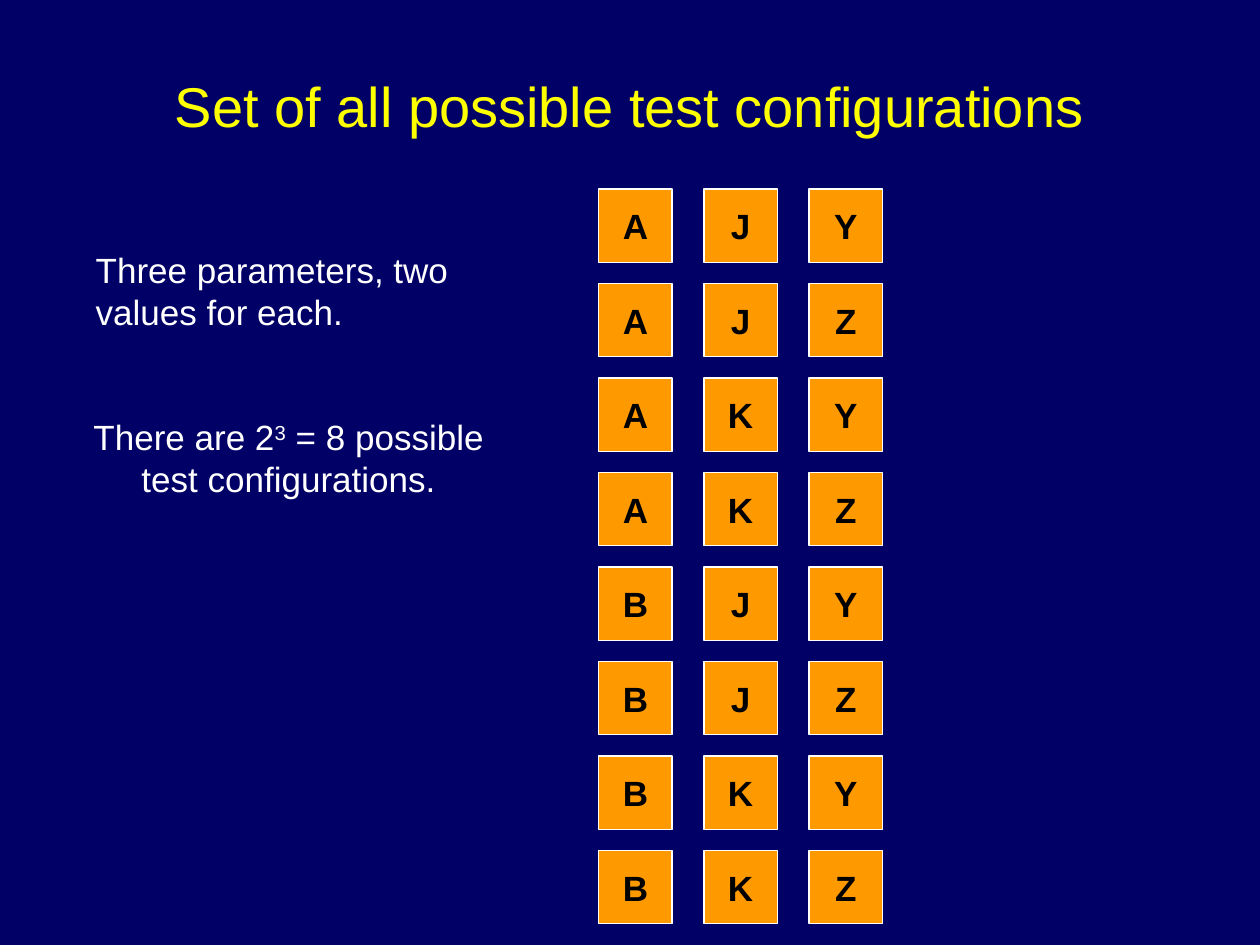
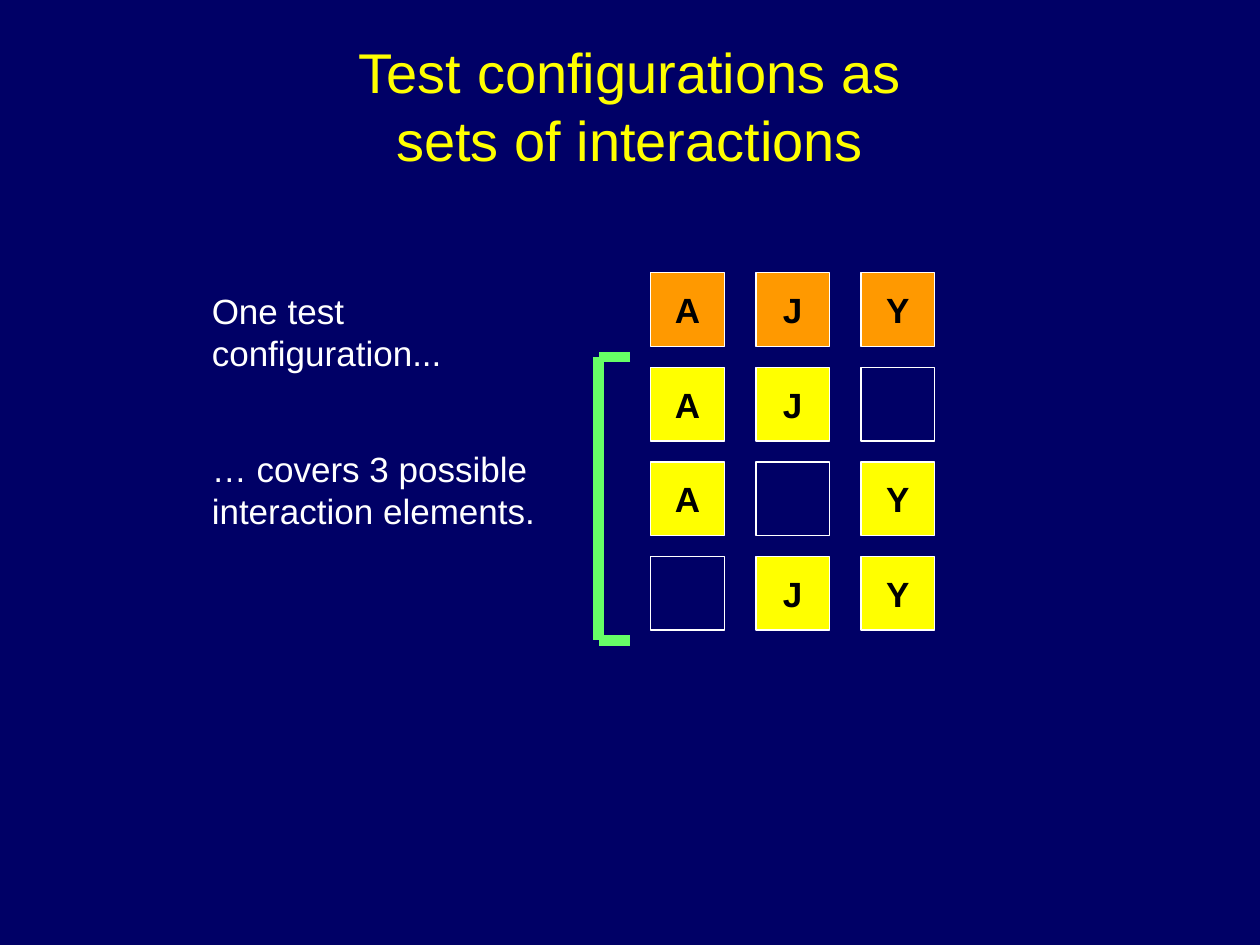
from itertools import product
from lxml.etree import SubElement
from pptx import Presentation
from pptx.dml.color import RGBColor as RGB
from pptx.enum.shapes import MSO_CONNECTOR as LINE, MSO_SHAPE as SHAPE
from pptx.enum.text import MSO_ANCHOR as ANCHOR, MSO_AUTO_SIZE as AUTO, PP_ALIGN as ALIGN
from pptx.oxml.ns import qn
from pptx.util import Cm, Pt

HUES = {"navy": "000066", "yellow": "FFFF00", "orange": "FF9900",
        "white": "FFFFFF", "black": "000000", "green": "66FF66"}
FONT = "Arial"
SIDE, STEP_X, STEP_Y = 1.48, 2.12, 1.905

ALL = {
    "title": ["Set of all possible test configurations"],
    "grids": [{"at": (12.07, 3.81), "fill": "orange", "group": True,
               "rows": list(product("AB", "JK", "YZ"))}],
    "notes": [
        {"at": (1.27, 8.26, 9.1, 1.96), "align": ALIGN.CENTER, "wrap": True,
         "lines": [[("There are 2", 0), ("3", 30000),
                    (" = 8 possible test configurations.", 0)]]},
        {"at": (1.68, 4.88, 7.62, 1.96), "align": ALIGN.LEFT, "wrap": False,
         "lines": [[("Three parameters, two", 0)], [("values for each.", 0)]]},
    ],
    "bracket": [],
}
SETS = {
    "title": ["Test configurations as", "sets of interactions"],
    "grids": [
        {"at": (13.12, 5.5), "fill": "orange", "group": False, "rows": ["AJY"]},
        {"at": (13.12, 7.41), "fill": "yellow", "group": True,
         "rows": ["AJ ", "A Y", " JY"]},
    ],
    "notes": [
        {"at": (4.02, 5.72, 8, 1.12), "align": ALIGN.LEFT, "wrap": False,
         "lines": [[("One test configuration...", 0)]]},
        {"at": (4.02, 8.89, 7.04, 1.96), "align": ALIGN.LEFT, "wrap": False,
         "lines": [[("… covers 3 possible", 0)], [("interaction elements.", 0)]]},
    ],
    "bracket": [(12.7, 7.2), (12.07, 7.2), (12.07, 12.91), (12.7, 12.91)],
}


def tint(name):
    return RGB.from_string(HUES[name])


def add_run(para, text, size, hue, bold=False, base=0):
    run = para.add_run()
    run.text = text
    font = run.font
    font.name, font.size, font.bold = FONT, Pt(size), bold
    font.color.rgb = tint(hue)
    if base:
        run._r.get_or_add_rPr().set("baseline", str(base))


def add_title(slide, lines):
    head = slide.shapes.title
    head.left, head.top, head.width, head.height = map(Cm, (1.9, 0.53, 21.6, 3.18))
    frame = head.text_frame
    frame.auto_size, frame.vertical_anchor = AUTO.NONE, ANCHOR.MIDDLE
    para = frame.paragraphs[0]
    para.alignment = ALIGN.CENTER
    for i, line in enumerate(lines):
        if i:
            para.add_line_break()
        add_run(para, line, 32, "yellow")


def add_box(shapes, x, y, mark, hue):
    box = shapes.add_shape(SHAPE.RECTANGLE, Cm(x), Cm(y), Cm(SIDE), Cm(SIDE))
    box.shadow.inherit = False
    box.line.color.rgb, box.line.width = tint("white"), Pt(0.75)
    if mark == " ":
        box.fill.background()
        return
    box.fill.solid()
    box.fill.fore_color.rgb = tint(hue)
    frame = box.text_frame
    frame.word_wrap, frame.vertical_anchor = False, ANCHOR.MIDDLE
    para = frame.paragraphs[0]
    para.alignment = ALIGN.CENTER
    add_run(para, mark, 20, "black", bold=True)


def add_grid(slide, grid):
    left, top = grid["at"]
    for i, row in enumerate(grid["rows"]):
        shapes = slide.shapes
        if grid["group"]:
            shapes = shapes.add_group_shape().shapes
        for j, mark in enumerate(row):
            add_box(shapes, left + j * STEP_X, top + i * STEP_Y, mark, grid["fill"])


def add_note(slide, note):
    frame = slide.shapes.add_textbox(*map(Cm, note["at"])).text_frame
    frame.word_wrap, frame.auto_size = note["wrap"], AUTO.SHAPE_TO_FIT_TEXT
    for i, line in enumerate(note["lines"]):
        para = frame.add_paragraph() if i else frame.paragraphs[0]
        para.alignment = note["align"]
        for text, base in line:
            add_run(para, text, 20, "white", base=base)


def add_line(slide, start, end):
    line = slide.shapes.add_connector(LINE.STRAIGHT, *map(Cm, start + end))
    line.line.color.rgb, line.line.width = tint("green"), Pt(6)
    SubElement(line._element.spPr, qn("a:effectLst"))


def main():
    deck = Presentation()
    deck.slide_width, deck.slide_height = Cm(25.4), Cm(19.05)
    back = deck.slide_master.background.fill
    back.solid()
    back.fore_color.rgb = tint("navy")
    for page in (ALL, SETS):
        slide = deck.slides.add_slide(deck.slide_layouts[5])
        add_title(slide, page["title"])
        for grid in page["grids"]:
            add_grid(slide, grid)
        for note in page["notes"]:
            add_note(slide, note)
        ends = page["bracket"]
        for start, end in zip(ends, ends[1:]):
            add_line(slide, start, end)
    deck.save("out.pptx")


if __name__ == "__main__":
    main()
